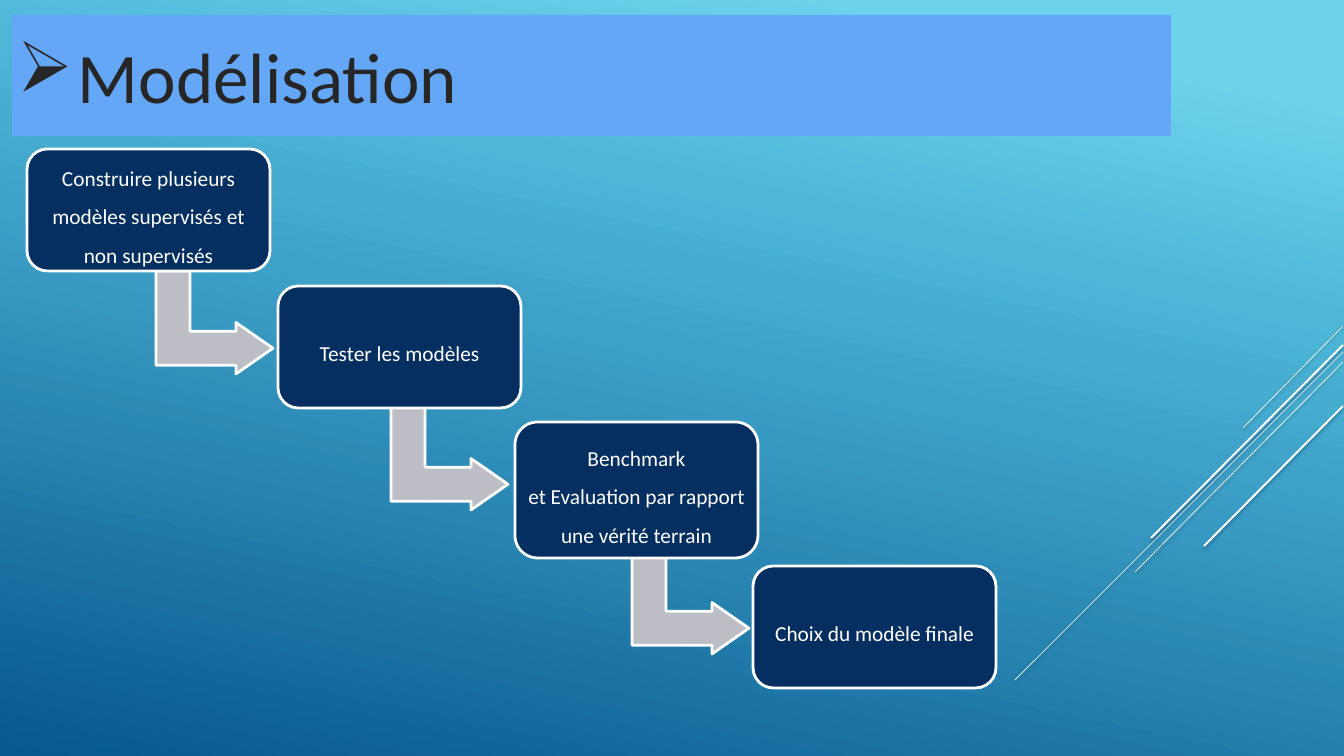
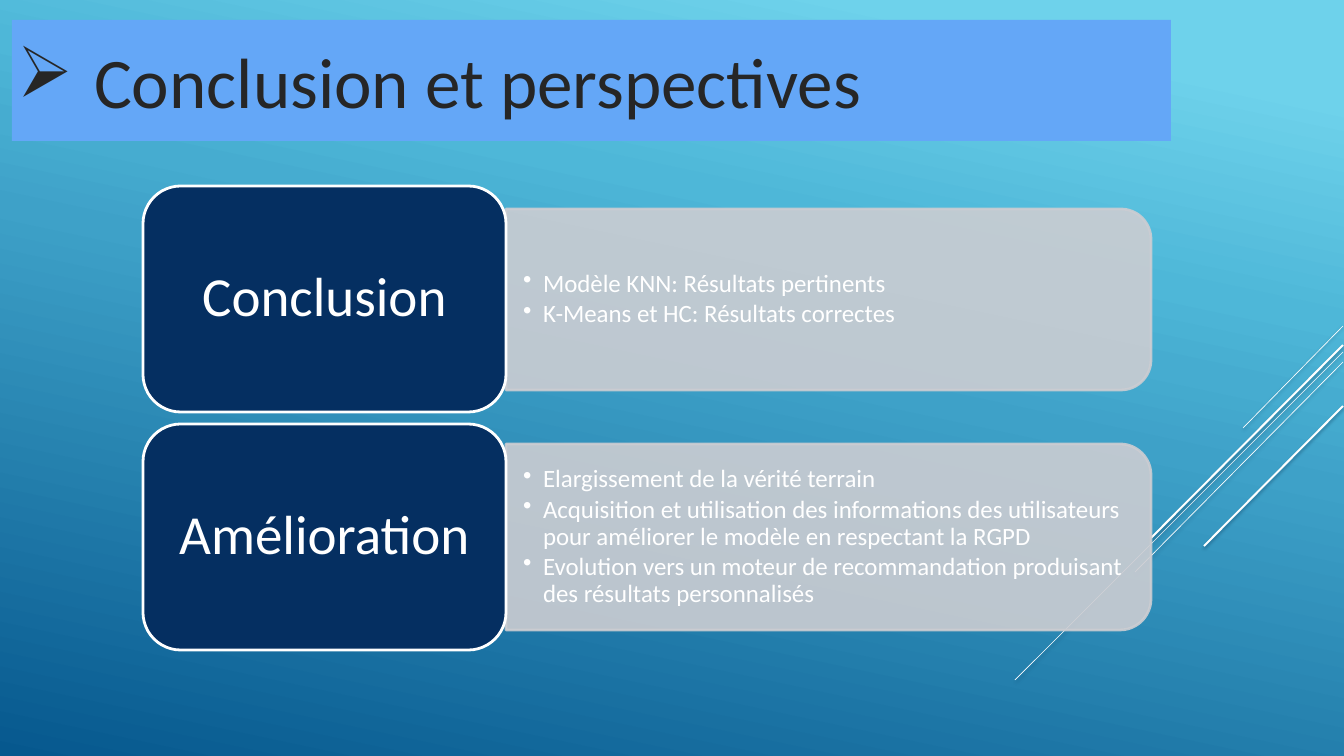
from dataclasses import dataclass
from typing import Any, NamedTuple

from lxml.etree import SubElement
from pptx import Presentation
from pptx.dml.color import RGBColor
from pptx.enum.shapes import MSO_CONNECTOR as Connector, MSO_SHAPE as Shape
from pptx.enum.text import MSO_ANCHOR as Anchor, PP_ALIGN as Align
from pptx.oxml.ns import qn
from pptx.util import Emu, Pt

COLORS = {
    "navy": "052F61",
    "arrow": "BDBEC5",
    "panel": "CCCDD2",
    "band": "64A7F7",
    "title": "262626",
    "white": "FFFFFF",
    "shadow": "001C3C",
}
BACKGROUND = [(10, "6ED2EB"), (31, "4EB7D8"), (39, "46ACD0"), (47, "3EA1C8"), (100, "06588E")]
FONT = "Calibri"
OUTLINE = 3.15


class Rect(NamedTuple):
    left: int
    top: int
    width: int
    height: int


class Streak(NamedTuple):
    start: tuple[int, int]
    end: tuple[int, int]
    weight: float


@dataclass(frozen=True)
class TextStyle:
    size: int
    color: str = "white"
    align: Any = Align.CENTER
    spacing: float = 1.0
    after: int = 0
    inset_x: int = 6
    inset_y: int = 3
    bullet: str = ""
    indent: int = 0


@dataclass(frozen=True)
class Step:
    box: Rect
    lines: list[str]
    arrow: tuple[int, int] | None = None


@dataclass(frozen=True)
class Topic:
    name: str
    top: int
    panel: Rect
    points: list[str]


TITLE = TextStyle(80, "title", Align.LEFT, bullet="➢", indent=60)
STEP = TextStyle(24, spacing=1.5, inset_x=5, inset_y=6)
TOPIC = TextStyle(62, spacing=0.9, inset_x=16, inset_y=8)
POINT = TextStyle(28, align=Align.LEFT, spacing=0.9, after=4, inset_x=17, inset_y=9,
                  bullet="•", indent=20)

STREAKS = [
    Streak((1343, 326), (1243, 428), 0.75),
    Streak((1343, 352), (1015, 680), 0.75),
    Streak((1343, 362), (1135, 572), 0.75),
    Streak((1343, 345), (1151, 538), 2.25),
    Streak((1343, 406), (1204, 546), 2.25),
]
STEPS = [
    Step(Rect(27, 149, 243, 122),
         ["Construire plusieurs modèles supervisés et non supervisés"], (163, 264)),
    Step(Rect(278, 286, 243, 122), ["Tester les modèles"], (398, 400)),
    Step(Rect(515, 422, 243, 136),
         ["Benchmark", "et Evaluation par rapport une vérité terrain"], (639, 544)),
    Step(Rect(753, 566, 243, 122), ["Choix du modèle finale"]),
]
TOPICS = [
    Topic("Conclusion", 186, Rect(506, 209, 645, 181), [
        "Modèle KNN: Résultats pertinents",
        "K-Means et HC: Résultats correctes",
    ]),
    Topic("Amélioration", 424, Rect(506, 444, 645, 186), [
        "Elargissement de la vérité terrain",
        "Acquisition et utilisation des informations des utilisateurs "
        "pour améliorer le modèle en respectant la RGPD",
        "Evolution vers un moteur de recommandation produisant des résultats personnalisés",
    ]),
]


def px(length: float) -> Emu:
    return Emu(round(length * 914400 / 64))


def rgb(name: str) -> RGBColor:
    return RGBColor.from_string(COLORS[name])


def apply(target: Any, formats: dict[str, Any]) -> None:
    for name, value in formats.items():
        setattr(target, name, value)


def add_color(parent: Any, color: str, alpha: int = 100) -> None:
    node = SubElement(parent, qn("a:srgbClr"), val=color)
    if alpha < 100:
        SubElement(node, qn("a:alpha"), val=str(alpha * 1000))


def write(box: Any, lines: list[str], style: TextStyle) -> None:
    frame = box.text_frame
    apply(frame, {
        "word_wrap": True,
        "vertical_anchor": Anchor.MIDDLE,
        "margin_left": px(style.inset_x),
        "margin_right": px(style.inset_x),
        "margin_top": px(style.inset_y),
        "margin_bottom": px(style.inset_y),
    })
    for index, line in enumerate(lines):
        para = frame.add_paragraph() if index else frame.paragraphs[0]
        apply(para, {
            "alignment": style.align,
            "line_spacing": style.spacing,
            "space_after": Pt(style.after),
        })
        span = para.add_run()
        span.text = line
        apply(span.font, {"name": FONT, "size": Pt(style.size)})
        span.font.color.rgb = rgb(style.color)
        if style.bullet:
            settings = para._p.get_or_add_pPr()
            settings.set("marL", str(px(style.indent)))
            settings.set("indent", str(-px(style.indent)))
            SubElement(settings, qn("a:buChar"), char=style.bullet)


def add_block(page: Any, kind: Any, rect: Rect, fill: str, line: str = "",
              alpha: int = 100) -> Any:
    block = page.shapes.add_shape(kind, *map(px, rect))
    block.shadow.inherit = False
    block.fill.solid()
    block.fill.fore_color.rgb = rgb(fill)
    if line:
        block.line.color.rgb = rgb(line)
        block.line.width = Pt(OUTLINE)
    else:
        block.line.fill.background()
    if alpha < 100:
        for color in block.element.spPr.iter(qn("a:srgbClr")):
            SubElement(color, qn("a:alpha"), val=str(alpha * 1000))
    return block


def add_streak(page: Any, streak: Streak) -> None:
    line = page.shapes.add_connector(Connector.STRAIGHT, *map(px, streak.start + streak.end))
    line.line.color.rgb = rgb("white")
    line.line.width = Pt(streak.weight)
    effects = SubElement(line.element.spPr, qn("a:effectLst"))
    shadow = SubElement(effects, qn("a:outerShdw"), blurRad=str(Pt(4)), dist=str(Pt(2)),
                        dir="5400000", rotWithShape="0")
    add_color(shadow, COLORS["shadow"], 38)


def add_page(deck: Any) -> Any:
    page = deck.slides.add_slide(deck.slide_layouts[6])
    fill = page.background.fill
    fill.gradient()
    fill.gradient_angle = 258
    stops = page.element.find(".//" + qn("a:gsLst"))
    for stop in list(stops):
        stops.remove(stop)
    for position, color in BACKGROUND:
        add_color(SubElement(stops, qn("a:gs"), pos=str(position * 1000)), color)
    for streak in STREAKS:
        add_streak(page, streak)
    return page


def add_title(page: Any, text: str, top: int) -> None:
    band = add_block(page, Shape.RECTANGLE, Rect(12, top, 1159, 121), "band")
    write(band, [text], TITLE)


def add_step(page: Any, step: Step) -> None:
    if step.arrow:
        arrow = add_block(page, Shape.BENT_UP_ARROW, Rect(*step.arrow, 103, 117), "arrow", "white")
        arrow.rotation = 90
        for index, value in enumerate((0.33, 0.25, 0.36)):
            arrow.adjustments[index] = value
    write(add_block(page, Shape.ROUNDED_RECTANGLE, step.box, "navy", "white"), step.lines, STEP)


def add_topic(page: Any, topic: Topic) -> None:
    left, top, width, height = topic.panel
    shift = (width - height) / 2
    upright = Rect(left + shift, top - shift, height, width)
    panel = add_block(page, Shape.ROUND_2_SAME_RECTANGLE, upright, "panel", "panel", 90)
    panel.rotation = 90
    points = page.shapes.add_textbox(*map(px, (left, top + 9, width - 9, height - 18)))
    write(points, topic.points, POINT)
    label = add_block(page, Shape.ROUNDED_RECTANGLE, Rect(143, topic.top, 363, 226),
                      "navy", "white")
    write(label, [topic.name], TOPIC)


def main() -> None:
    deck = Presentation()
    apply(deck, {"slide_width": px(1344), "slide_height": px(756)})

    modelling = add_page(deck)
    for step in STEPS:
        add_step(modelling, step)
    add_title(modelling, "Modélisation", 15)

    outlook = add_page(deck)
    add_title(outlook, " Conclusion et perspectives", 20)
    for topic in TOPICS:
        add_topic(outlook, topic)

    deck.save("out.pptx")


if __name__ == "__main__":
    main()
